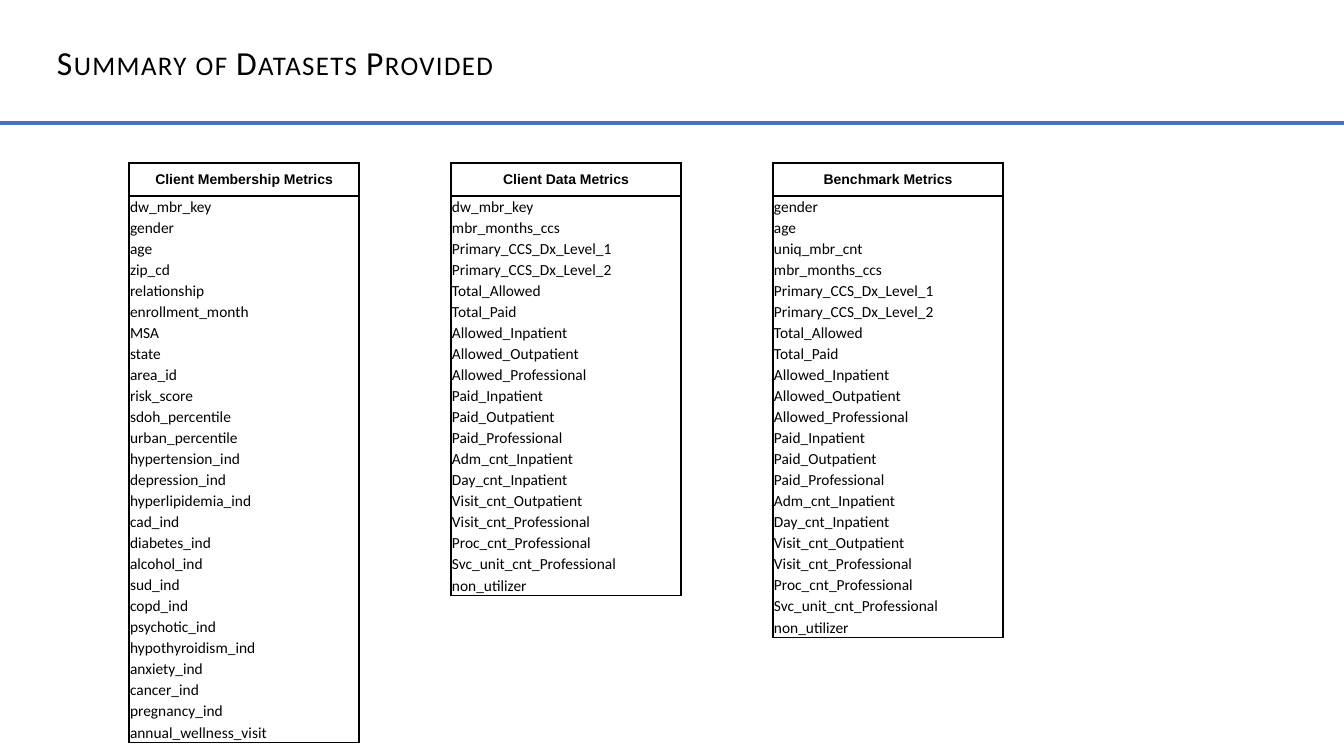
from dataclasses import dataclass

from lxml import etree
from pptx import Presentation
from pptx.dml.color import RGBColor
from pptx.enum.shapes import MSO_CONNECTOR
from pptx.enum.text import MSO_ANCHOR, MSO_AUTO_SIZE, PP_ALIGN
from pptx.oxml.ns import qn
from pptx.util import Pt

LEFT, CENTER = PP_ALIGN.LEFT, PP_ALIGN.CENTER
MIDDLE, BOTTOM = MSO_ANCHOR.MIDDLE, MSO_ANCHOR.BOTTOM
STRAIGHT = MSO_CONNECTOR.STRAIGHT
TITLE_ONLY = 5

# Content
TITLE = "Summary of Datasets Provided"
SHARED = [
    "mbr_months_ccs", "Primary_CCS_Dx_Level_1", "Primary_CCS_Dx_Level_2",
    "Total_Allowed", "Total_Paid",
    "Allowed_Inpatient", "Allowed_Outpatient", "Allowed_Professional",
    "Paid_Inpatient", "Paid_Outpatient", "Paid_Professional",
    "Adm_cnt_Inpatient", "Day_cnt_Inpatient",
    "Visit_cnt_Outpatient", "Visit_cnt_Professional",
    "Proc_cnt_Professional", "Svc_unit_cnt_Professional", "non_utilizer",
]
DATASETS = {
    "Client Membership Metrics": [
        "dw_mbr_key", "gender", "age", "zip_cd", "relationship",
        "enrollment_month", "MSA", "state", "area_id", "risk_score",
        "sdoh_percentile", "urban_percentile", "hypertension_ind",
        "depression_ind", "hyperlipidemia_ind", "cad_ind", "diabetes_ind",
        "alcohol_ind", "sud_ind", "copd_ind", "psychotic_ind",
        "hypothyroidism_ind", "anxiety_ind", "cancer_ind", "pregnancy_ind",
        "annual_wellness_visit",
    ],
    "Client Data Metrics": ["dw_mbr_key"] + SHARED,
    "Benchmark Metrics": ["gender", "age", "uniq_mbr_cnt"] + SHARED,
}


@dataclass(frozen=True)
class Theme:
    ink: RGBColor = RGBColor(0, 0, 0)
    rule: RGBColor = RGBColor(0x44, 0x72, 0xC4)
    body: str = "Calibri"
    head: str = "Arial"
    title_pt: int = 24
    head_pt: int = 10
    body_pt: int = 11
    rule_pt: float = 2.5
    edge_pt: int = 1


THEME = Theme()

# Layout in px
SCALE = 914400 / 100.8
WIDE, HIGH = 1344, 756
TITLE_BOX = (52, 41, 1026, 46)
RULE_Y = 123
TABLE_X, TABLE_Y, TABLE_W, PITCH = 129, 163, 230, 322
HEAD_H, ROW_H, LAST_H = 33, 21, 22


def px(n):
    return round(n * SCALE)


def style(para, face, size, bold=False, align=LEFT):
    para.alignment = align
    font = para.font
    font.name, font.size, font.bold = face, Pt(size), bold
    font.color.rgb = THEME.ink


def edge(cell, sides):
    """Draw the named sides of a cell and clear the others."""
    props = cell._tc.get_or_add_tcPr()
    for i, side in enumerate("LRTB"):
        line = etree.Element(qn(f"a:ln{side}"), w=str(Pt(THEME.edge_pt)))
        if side in sides:
            fill = etree.SubElement(line, qn("a:solidFill"))
            etree.SubElement(fill, qn("a:srgbClr"), val=str(THEME.ink))
        else:
            etree.SubElement(line, qn("a:noFill"))
        props.insert(i, line)


def add_list(slide, x, head, names):
    heights = [HEAD_H] + [ROW_H] * (len(names) - 1) + [LAST_H]
    frame = slide.shapes.add_table(len(heights), 1, px(x), px(TABLE_Y),
                                   px(TABLE_W), px(sum(heights)))
    table = frame.table
    table.first_row = table.horz_banding = False
    last = len(names)
    for i, (text, high) in enumerate(zip([head] + names, heights)):
        table.rows[i].height = px(high)
        cell = table.cell(i, 0)
        cell.text = text
        cell.margin_left = cell.margin_right = cell.margin_top = px(1)
        cell.margin_bottom = 0
        cell.fill.background()
        para = cell.text_frame.paragraphs[0]
        if i == 0:
            cell.vertical_anchor = MIDDLE
            style(para, THEME.head, THEME.head_pt, True, CENTER)
        else:
            cell.vertical_anchor = BOTTOM
            style(para, THEME.body, THEME.body_pt)
        edge(cell, "LR" + "T" * (i <= 1) + "B" * (i in (0, last)))


def add_title(slide):
    title = slide.shapes.title
    title.left, title.top, title.width, title.height = map(px, TITLE_BOX)
    frame = title.text_frame
    frame.text = TITLE
    frame.auto_size = MSO_AUTO_SIZE.NONE
    frame.vertical_anchor = BOTTOM
    frame.margin_left = frame.margin_right = px(5)
    frame.margin_top = frame.margin_bottom = px(5)
    para = frame.paragraphs[0]
    style(para, THEME.body, THEME.title_pt)
    # Small capitals, one point of letter spacing
    props = para.runs[0]._r.get_or_add_rPr()
    props.set("cap", "small")
    props.set("spc", "100")


def add_rule(slide):
    rule = slide.shapes.add_connector(STRAIGHT, 0, px(RULE_Y),
                                      px(WIDE), px(RULE_Y))
    rule.line.color.rgb = THEME.rule
    rule.line.width = Pt(THEME.rule_pt)
    etree.SubElement(rule._element.spPr, qn("a:effectLst"))


def main():
    deck = Presentation()
    deck.slide_width, deck.slide_height = px(WIDE), px(HIGH)
    slide = deck.slides.add_slide(deck.slide_layouts[TITLE_ONLY])
    add_title(slide)
    for i, (head, names) in enumerate(DATASETS.items()):
        add_list(slide, TABLE_X + i * PITCH, head, names)
    add_rule(slide)
    deck.save("out.pptx")


if __name__ == "__main__":
    main()
